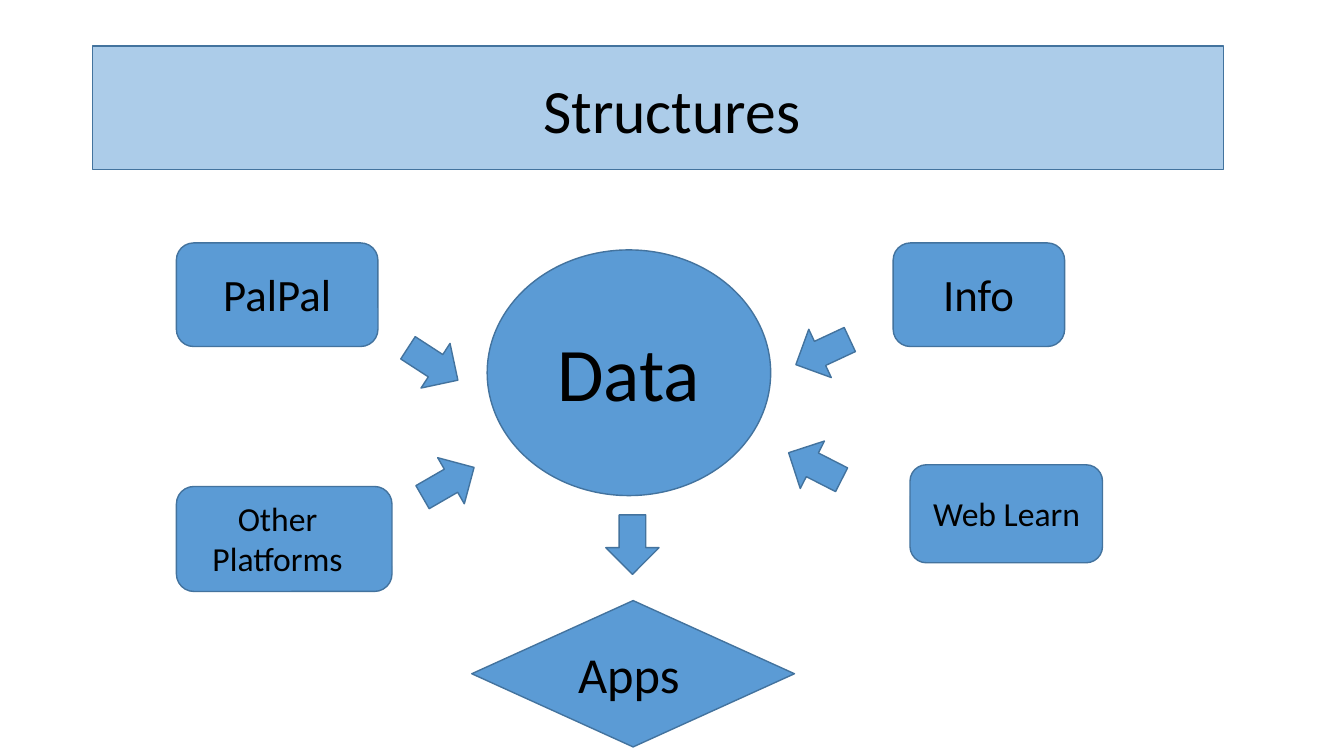
"""Build the Structures slide: sources feeding central data, which feeds apps."""
from lxml.etree import SubElement
from pptx import Presentation
from pptx.dml.color import RGBColor as RGB
from pptx.enum.shapes import MSO_SHAPE as Shape
from pptx.enum.text import MSO_ANCHOR as Anchor, MSO_AUTO_SIZE as Fit, PP_ALIGN as Align
from pptx.oxml.ns import qn
from pptx.util import Pt

TITLE = ("Structures", (66, 29, 828, 104))
BANNER = (66, 33, 808, 88)
NODES = [
    ("Data", Shape.OVAL, (348, 178.5, 202.5, 175.5), (376, 229.5, 146, 73), "hub"),
    ("Info", Shape.ROUNDED_RECTANGLE, (638, 173.5, 122.5, 74), (650, 187, 98, 46), "source"),
    ("Web Learn", Shape.ROUNDED_RECTANGLE, (650, 332, 137.5, 70), (640, 348.5, 158, 36), "detail"),
    ("PalPal", Shape.ROUNDED_RECTANGLE, (126, 173.5, 144, 74), (137, 187, 122, 46), "source"),
    ("Other Platforms", Shape.ROUNDED_RECTANGLE, (126, 347.5, 154, 75), (134.5, 352, 127.5, 65.5), "detail"),
    ("Apps", Shape.DIAMOND, (337, 429, 230.5, 104.5), (399.5, 456, 99.5, 51), "result"),
]
ARROW_SIZE = (42.5, 38)
ARROWS = [(288, 241, 33), (299, 325.5, 330), (566.5, 232.5, 155), (561, 314, 207), (430.5, 370, 90)]
THEME = {
    "font": "Calibri",
    "fill": RGB.from_string("5B9BD5"),
    "line": RGB.from_string("43739E"),
    "text": RGB.from_string("000000"),
    "line_width": Pt(1),
    "banner_alpha": 50,
    "sizes": {"title": 44, "hub": 54, "source": 32, "detail": 24, "result": 36},
}


def apply(target, values):
    """Set each named attribute on the target."""
    for name, value in values.items():
        setattr(target, name, value)


def points(box):
    """Turn a box of numbers into lengths."""
    return [Pt(v) for v in box]


def add_block(s, kind, box):
    """Add one filled and outlined shape."""
    sp = s.shapes.add_shape(kind, *points(box))
    sp.shadow.inherit = False
    sp.fill.solid()
    sp.fill.fore_color.rgb = THEME["fill"]
    sp.line.color.rgb = THEME["line"]
    sp.line.width = THEME["line_width"]
    return sp


def write(sp, text, role, **frame):
    """Put one centred line of text into a shape's frame."""
    tf = sp.text_frame
    apply(tf, {"word_wrap": True, **frame})
    p = tf.paragraphs[0]
    p.alignment = Align.CENTER
    r = p.add_run()
    r.text = text
    apply(r.font, {"name": THEME["font"], "size": Pt(THEME["sizes"][role])})
    r.font.color.rgb = THEME["text"]
    return p


def add_title(s):
    """Place the title over its translucent banner."""
    text, box = TITLE
    title = s.shapes.title
    apply(title, dict(zip(("left", "top", "width", "height"), points(box))))
    p = write(title, text, "title", vertical_anchor=Anchor.MIDDLE, auto_size=Fit.NONE)
    p.line_spacing = 0.9
    banner = add_block(s, Shape.RECTANGLE, BANNER)
    color = banner.element.spPr.find(qn("a:solidFill"))[0]
    SubElement(color, qn("a:alpha")).set("val", str(THEME["banner_alpha"] * 1000))
    title.element.addprevious(banner.element)


def main():
    """Create and save the presentation."""
    prs = Presentation()
    apply(prs, {"slide_width": Pt(960), "slide_height": Pt(540)})
    s = prs.slides.add_slide(prs.slide_layouts[5])
    add_title(s)
    for text, kind, box, label, role in NODES:
        add_block(s, kind, box)
        write(s.shapes.add_textbox(*points(label)), text, role, auto_size=Fit.SHAPE_TO_FIT_TEXT)
    for left, top, angle in ARROWS:
        add_block(s, Shape.RIGHT_ARROW, (left, top, *ARROW_SIZE)).rotation = angle
    prs.save("out.pptx")


if __name__ == "__main__":
    main()
